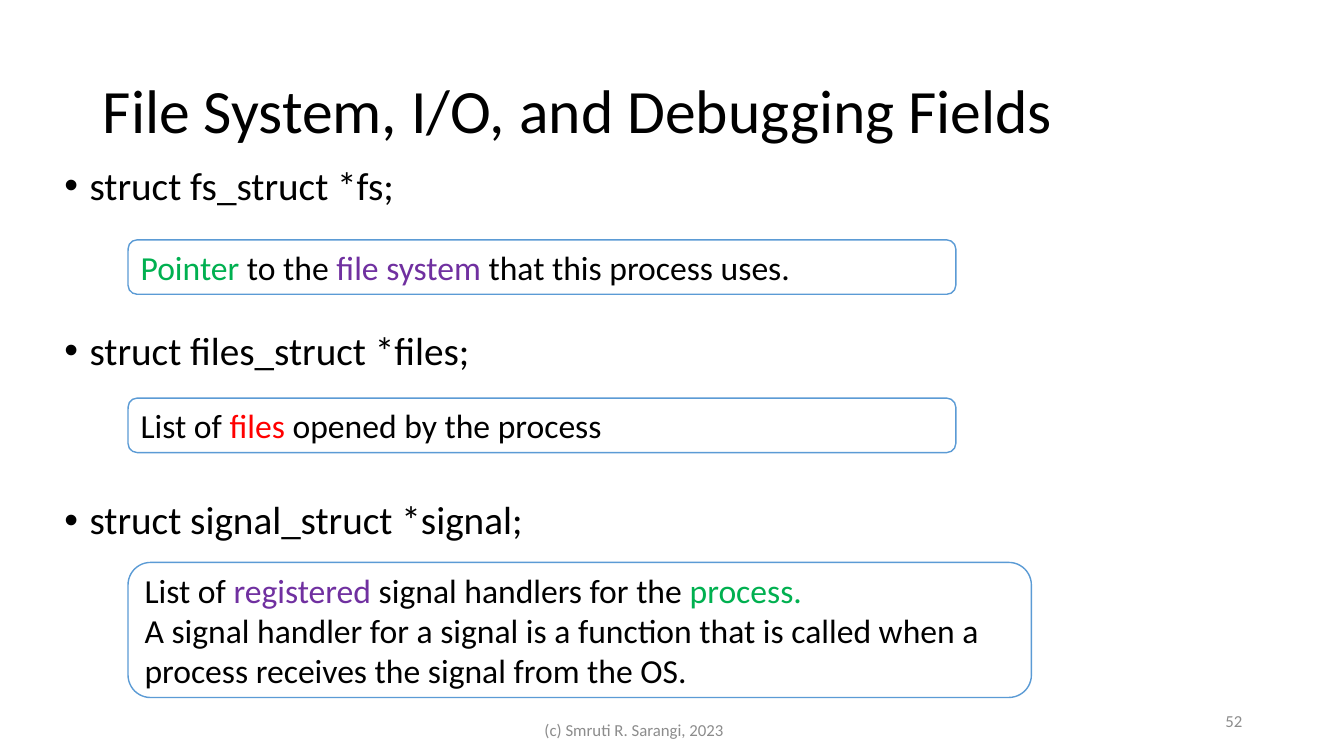
from lxml.etree import SubElement
from pptx import Presentation
from pptx.dml.color import RGBColor
from pptx.enum.shapes import MSO_SHAPE
from pptx.enum.text import MSO_ANCHOR, MSO_AUTO_SIZE, PP_ALIGN
from pptx.oxml.ns import qn
from pptx.util import Pt

PX = 9144  # 100 px to the inch
FONT = "Calibri"
BLACK, WHITE, GRAY, BLUE = "000000", "FFFFFF", "8C8C8C", "5B9BD5"
GREEN, PURPLE, RED = "00B050", "7030A0", "FF0000"

# Each field: declaration, its box, note box, note paragraphs of (text, colour)
FIELDS = [
    ("struct fs_struct *fs;", (54, 160, 1150, 54), (127, 238, 821, 54),
     [[("Pointer", GREEN), (" to the ", BLACK), ("file system ", PURPLE),
       ("that this process uses.", BLACK)]]),
    ("struct files_struct *files;", (54, 324, 1150, 54), (127, 395, 821, 54),
     [[("List of ", BLACK), ("files", RED), (" opened by the process", BLACK)]]),
    ("struct signal_struct *signal;", (54, 492, 1150, 54), (127, 558, 896, 134),
     [[("List of ", BLACK), ("registered", PURPLE),
       (" signal handlers for the ", BLACK), ("process.", GREEN)],
      [("A signal handler for a signal is a function that is called when a "
        "process receives the signal from the OS.", BLACK)]]),
]


def emu(box):
    return [length * PX for length in box]


def color(hex_text):
    return RGBColor.from_string(hex_text)


def style(font, size, hex_text):
    font.name = FONT
    font.size = Pt(size)
    font.color.rgb = color(hex_text)


def add_title(page, box, text):
    title = page.shapes.title
    title.left, title.top, title.width, title.height = emu(box)
    frame = title.text_frame
    frame.text = text
    frame.auto_size = MSO_AUTO_SIZE.NONE
    frame.vertical_anchor = MSO_ANCHOR.MIDDLE
    para = frame.paragraphs[0]
    para.alignment = PP_ALIGN.LEFT
    para.line_spacing = 0.9
    style(para.runs[0].font, 44, BLACK)


def add_text(page, box, text, size, hex_text, align, anchor):
    frame = page.shapes.add_textbox(*emu(box)).text_frame
    frame.word_wrap = True
    frame.vertical_anchor = anchor
    frame.text = text
    para = frame.paragraphs[0]
    para.alignment = align
    style(para.runs[0].font, size, hex_text)
    return para


def add_declaration(page, box, text):
    """Add one bulleted struct declaration."""
    para = add_text(page, box, text, 28, BLACK, PP_ALIGN.LEFT, MSO_ANCHOR.TOP)
    para.line_spacing = 0.9
    properties = para._p.get_or_add_pPr()
    properties.set("marL", str(25 * PX))
    properties.set("indent", str(-25 * PX))
    SubElement(properties, qn("a:buFont"), typeface="Arial")
    SubElement(properties, qn("a:buChar"), char="•")


def add_note(page, box, paragraphs):
    """Add a rounded box whose paragraphs hold coloured spans."""
    note = page.shapes.add_shape(MSO_SHAPE.ROUNDED_RECTANGLE, *emu(box))
    note.shadow.inherit = False
    note.fill.solid()
    note.fill.fore_color.rgb = color(WHITE)
    note.line.color.rgb = color(BLUE)
    note.line.width = Pt(1)
    frame = note.text_frame
    frame.word_wrap = True
    frame.vertical_anchor = MSO_ANCHOR.MIDDLE
    for index, spans in enumerate(paragraphs):
        para = frame.add_paragraph() if index else frame.paragraphs[0]
        para.alignment = PP_ALIGN.LEFT
        for text, hex_text in spans:
            span = para.add_run()
            span.text = text
            style(span.font, 24, hex_text)


def add_footer(page):
    add_text(page, (404, 704, 450, 40), "(c) Smruti R. Sarangi, 2023",
             12, GRAY, PP_ALIGN.CENTER, MSO_ANCHOR.MIDDLE)
    add_text(page, (942, 695, 300, 40), "52",
             12, GRAY, PP_ALIGN.RIGHT, MSO_ANCHOR.MIDDLE)


def main():
    deck = Presentation()
    deck.slide_width, deck.slide_height = emu((1333, 750))
    page = deck.slides.add_slide(deck.slide_layouts.get_by_name("Title Only"))
    add_title(page, (92, 40, 1150, 145), "File System, I/O, and Debugging Fields")
    for declaration, box, note_box, paragraphs in FIELDS:
        add_declaration(page, box, declaration)
        add_note(page, note_box, paragraphs)
    add_footer(page)
    deck.save("out.pptx")


if __name__ == "__main__":
    main()
